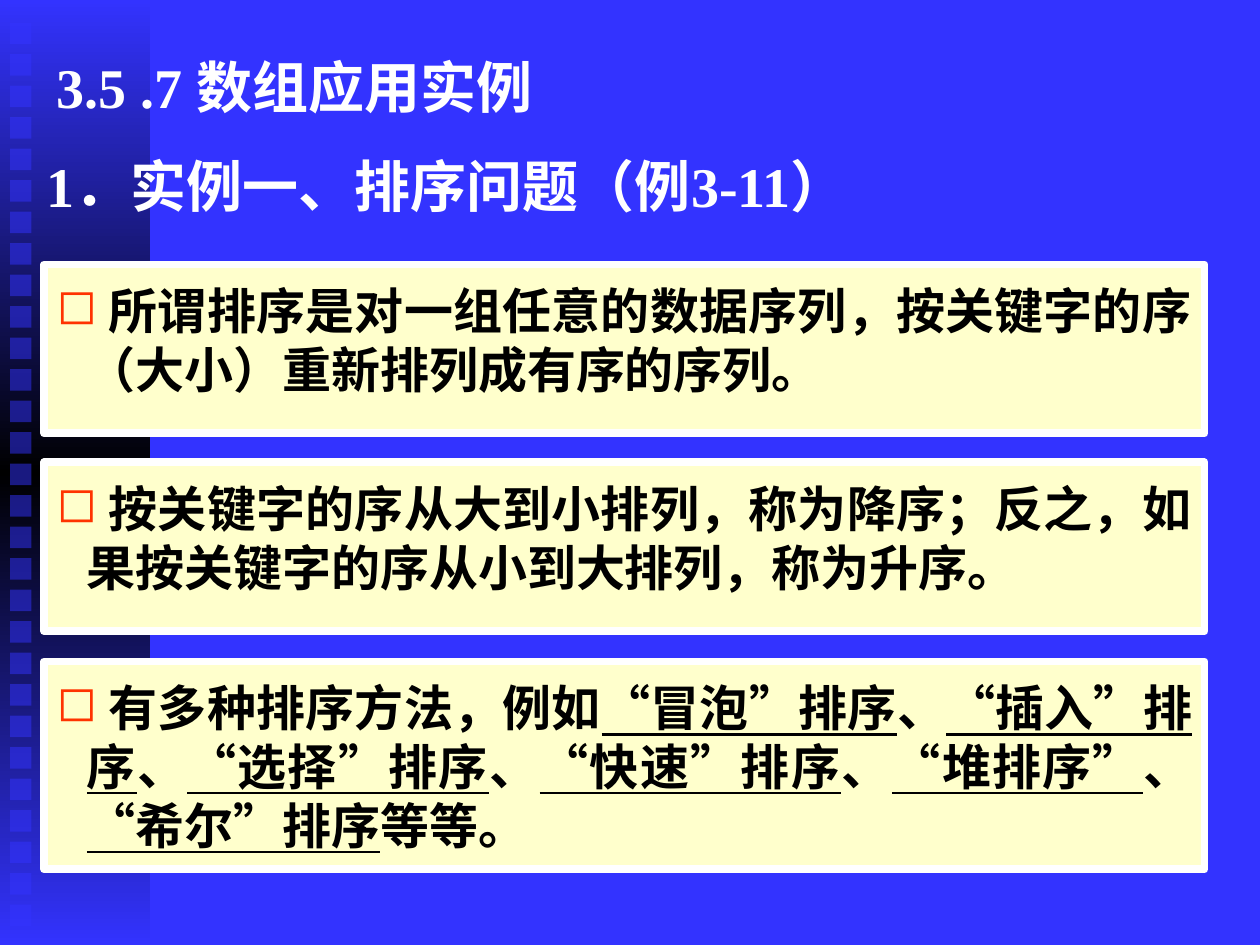
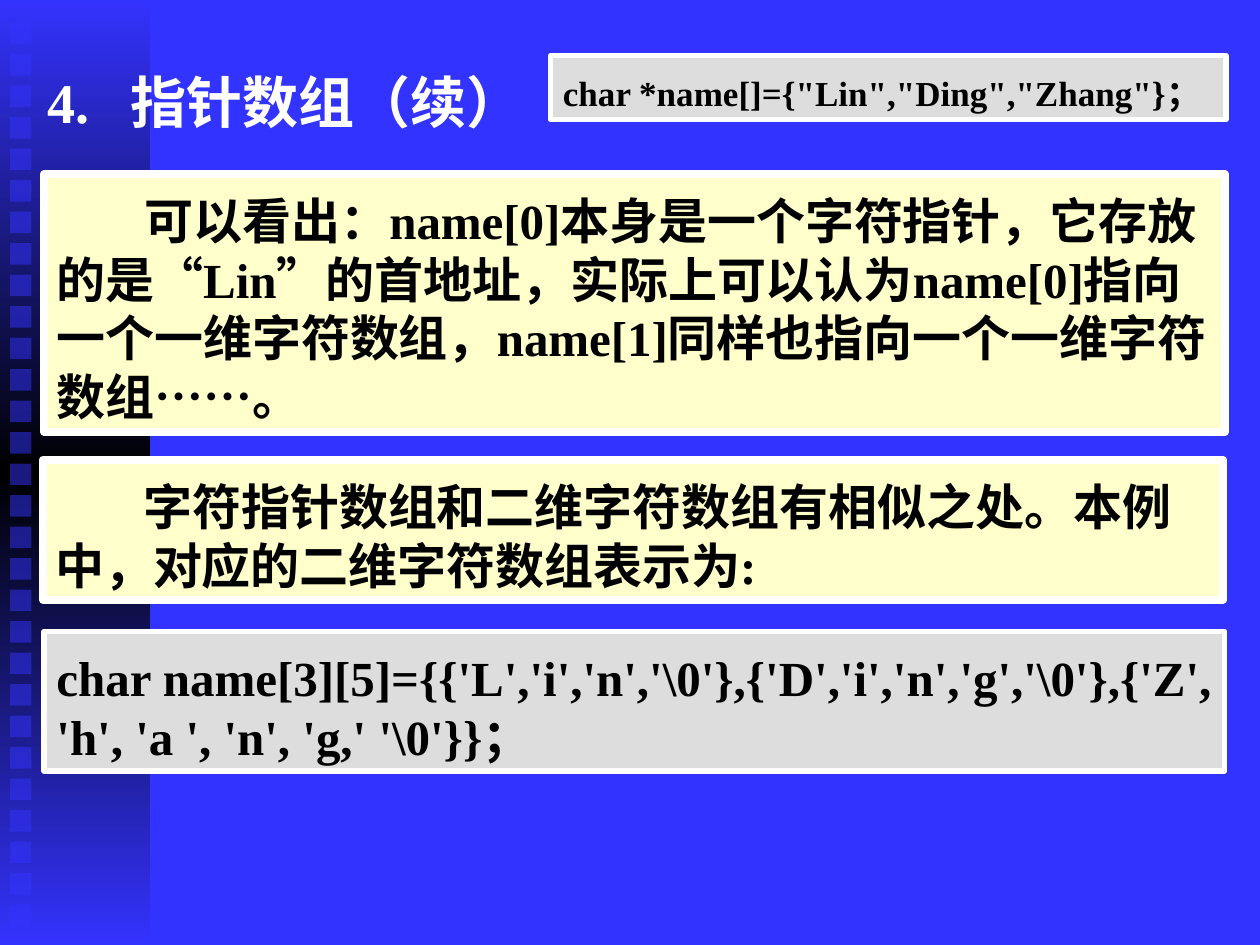
from copy import deepcopy

from lxml import etree
from pptx import Presentation
from pptx.dml.color import RGBColor
from pptx.enum import shapes, text
from pptx.oxml.ns import qn
from pptx.util import Inches, Pt

COLORS = {
    "blue": "3333FF",
    "black": "000000",
    "white": "FFFFFF",
    "cream": "FFFFCC",
    "gray": "DDDDDD",
    "bullet": "FF3300",
}
FONT = "Times New Roman"
RECT = shapes.MSO_SHAPE.RECTANGLE
LEFT, JUSTIFY = text.PP_ALIGN.LEFT, text.PP_ALIGN.JUSTIFY


def rgb(name):
    return RGBColor.from_string(COLORS[name])


def write(shape, parts, size, color, top_inset=0.05, align=LEFT):
    """Put parts into one paragraph, underlining every second part."""
    frame = shape.text_frame
    frame.word_wrap = True
    frame.vertical_anchor = text.MSO_ANCHOR.TOP
    frame.margin_left = frame.margin_right = Inches(0.1)
    frame.margin_top, frame.margin_bottom = Inches(top_inset), Inches(0.05)
    paragraph = frame.paragraphs[0]
    paragraph.alignment = align
    for index, part in enumerate(parts):
        run = paragraph.add_run()
        run.text = part
        run.font.name, run.font.size, run.font.bold = FONT, Pt(size), True
        run.font.color.rgb = rgb(color)
        if index % 2:
            run.font.underline = True
    return paragraph._p.get_or_add_pPr()


prs = Presentation()
prs.slide_width, prs.slide_height = Inches(10), Inches(7.5)
background = prs.slide_master.background.fill
background.solid()
background.fore_color.rgb = rgb("blue")

# Each heading: left, top, width, height, text
# Each panel: left, top, width, height, fill, line width, size, style, parts
slides = [
    {
        "headings": [
            (0.35, 0.37, 8.44, 0.67, "3.5 .7 数组应用实例"),
            (0.27, 1.15, 8.45, 0.67, "1．实例一、排序问题（例3-11）"),
        ],
        "panels": [
            (0.35, 2.1, 9.21, 1.34, "cream", 4.5, 28, "bullet",
             [" 所谓排序是对一组任意的数据序列，按关键字的序（大小）重新排列成有序的序列。"]),
            (0.35, 3.67, 9.21, 1.34, "cream", 4.5, 28, "bullet",
             [" 按关键字的序从大到小排列，称为降序；反之，如果按关键字的序从小到大排列，称为升序。"]),
            (0.35, 5.25, 9.21, 1.65, "cream", 4.5, 28, "bullet",
             [" 有多种排序方法，例如", "“冒泡”排序", "、", "“插入”排序", "、",
              "“选择”排序", "、", "“快速”排序", "、", "“堆排序”", "、",
              "“希尔”排序", "等等。"]),
        ],
    },
    {
        "headings": [(0.28, 0.49, 7, 0.58, "4.\t指针数组（续）")],
        "panels": [
            (0.35, 1.38, 9.37, 2.05, "cream", 4.5, 28, "indent",
             ["可以看出：name[0]本身是一个字符指针，它存放的是“Lin”的首地址，"
              "实际上可以认为name[0]指向一个一维字符数组，"
              "name[1]同样也指向一个一维字符数组……。"]),
            (4.37, 0.44, 5.36, 0.51, "gray", 3, 20, "code",
             ['char *name[]={"Lin","Ding","Zhang"}；']),
            (0.34, 3.65, 9.37, 1.11, "cream", 4.5, 28, "indent",
             ["字符指针数组和二维字符数组有相似之处。本例中，对应的二维字符数组表示为:"]),
            (0.35, 5.01, 9.37, 1.11, "gray", 3, 28, "code",
             [r"char name[3][5]={{'L','i','n','\0'},{'D','i','n','g','\0'},"
              r"{'Z', 'h', 'a ', 'n', 'g,' '\0'}}；"]),
        ],
    },
]

for content in slides:
    slide = prs.slides.add_slide(prs.slide_layouts[6])

    # Left band, dark in the middle
    band = slide.shapes.add_shape(RECT, 0, 0, Inches(1.19), prs.slide_height)
    band.shadow.inherit = False
    band.line.fill.background()
    band.fill.gradient()
    band.fill.gradient_angle = 90
    stops = band._element.spPr.find(".//" + qn("a:gsLst"))
    stops.append(deepcopy(stops[0]))
    for stop, color, position in zip(
            band.fill.gradient_stops, ("blue", "black", "blue"), (0, 0.5, 1)):
        stop.color.rgb = rgb(color)
        stop.position = position

    # Column of half-transparent squares
    for row in range(29):
        square = slide.shapes.add_shape(
            RECT, Inches(0.08), Inches(0.18 + 0.25 * row), Inches(0.17), Inches(0.17))
        square.shadow.inherit = False
        square.line.fill.background()
        square.fill.solid()
        square.fill.fore_color.rgb = rgb("blue")
        tint = square._element.spPr.find(".//" + qn("a:srgbClr"))
        etree.SubElement(tint, qn("a:alpha"), val="50000")

    for *place, words in content["headings"]:
        heading = slide.shapes.add_textbox(*map(Inches, place))
        props = write(heading, [words], 32, "white")
        if "\t" in words:
            tabs = etree.SubElement(props, qn("a:tabLst"))
            etree.SubElement(tabs, qn("a:tab"), pos=str(Inches(0.66)), algn="l")

    for *place, fill, line_width, size, style, parts in content["panels"]:
        panel = slide.shapes.add_shape(RECT, *map(Inches, place))
        panel.shadow.inherit = False
        panel.fill.solid()
        panel.fill.fore_color.rgb = rgb(fill)
        panel.line.color.rgb = rgb("white")
        panel.line.width = Pt(line_width)
        props = write(panel, parts, size, "black", 0.13,
                      JUSTIFY if style == "bullet" else LEFT)
        if style == "bullet":
            props.set("marL", str(Inches(0.24)))
            props.set("indent", str(Inches(-0.24)))
            bullet_color = etree.SubElement(props, qn("a:buClr"))
            etree.SubElement(bullet_color, qn("a:srgbClr"), val=COLORS["bullet"])
            etree.SubElement(props, qn("a:buChar"), char="◻")
        elif style == "indent":
            props.set("indent", str(Inches(0.7)))

prs.save("out.pptx")
